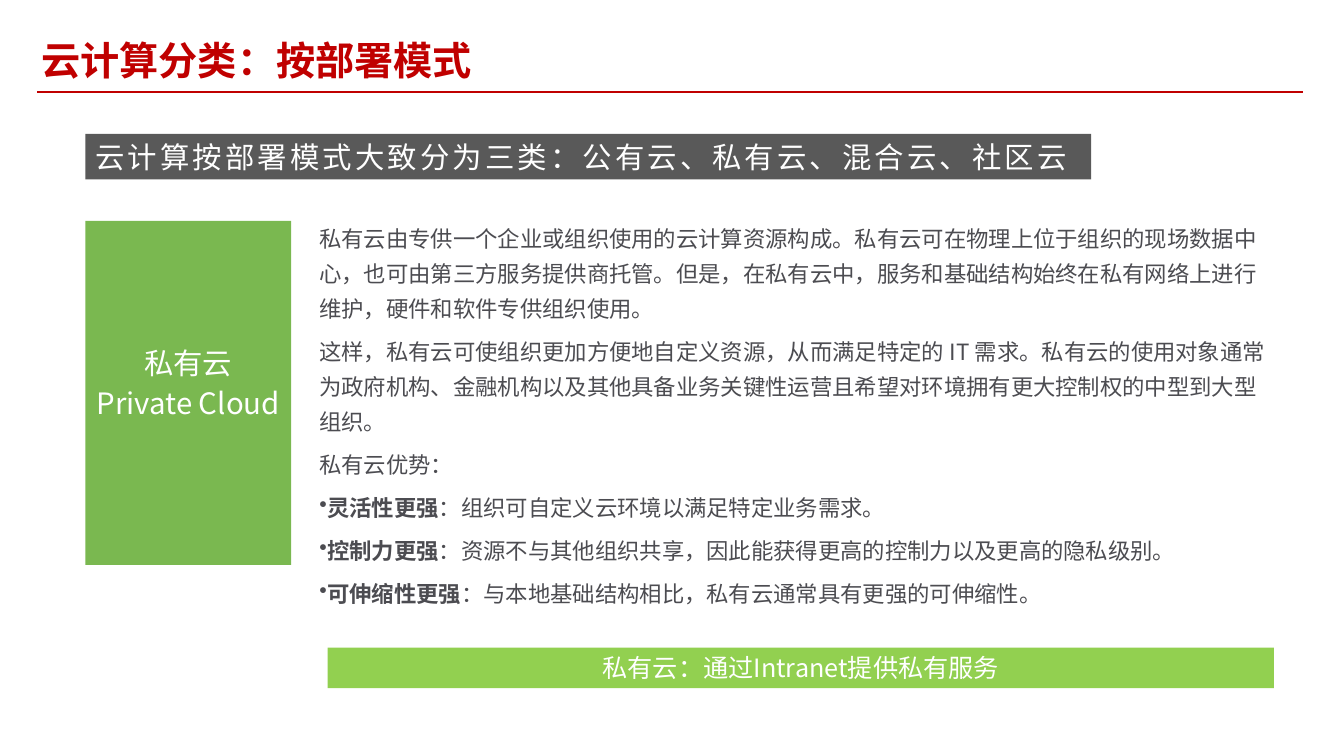
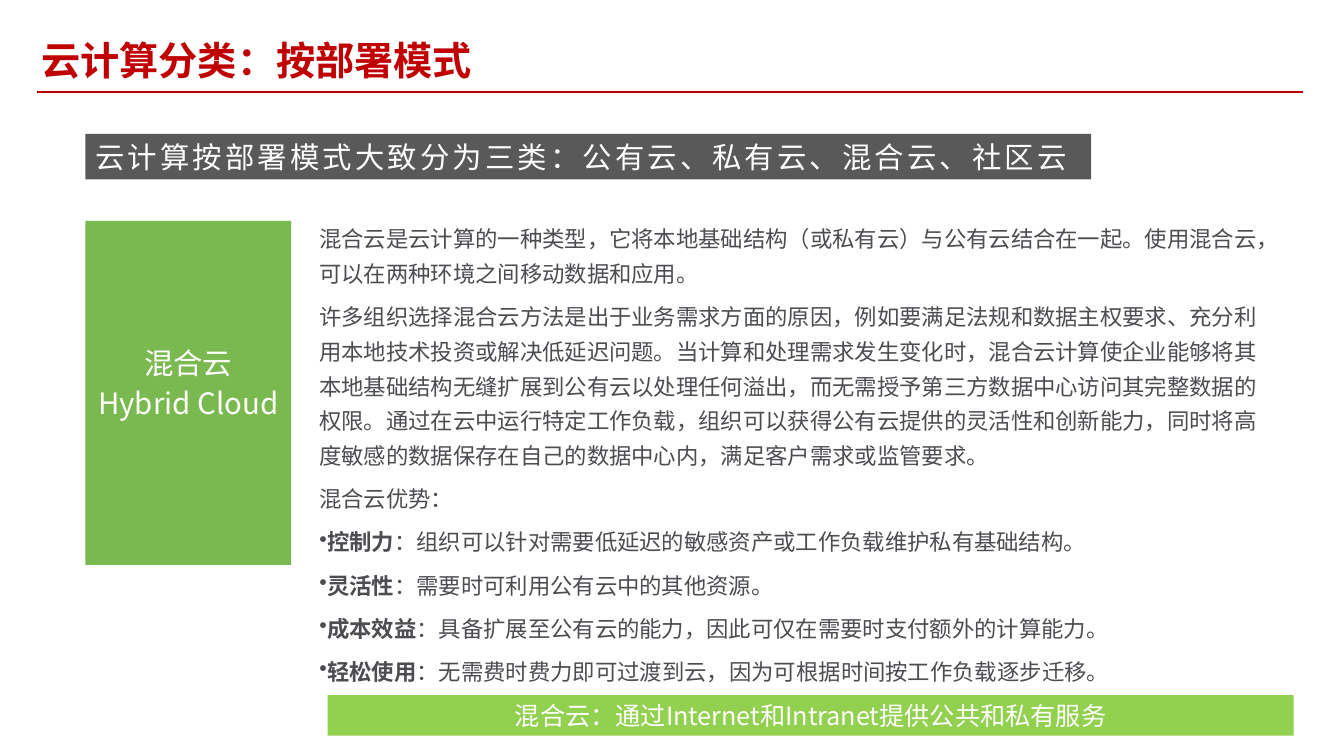
from lxml.etree import SubElement
from pptx import Presentation
from pptx.dml.color import RGBColor
from pptx.enum.shapes import MSO_CONNECTOR, MSO_SHAPE
from pptx.enum.text import MSO_ANCHOR, PP_ALIGN
from pptx.oxml.ns import qn
from pptx.util import Pt

FONT = "Noto Sans CJK SC"
COLORS = {
    "red": "C00000",
    "white": "FFFFFF",
    "gray": "595959",
    "ink": "4C4C51",
    "green": "7AB850",
    "lime": "92D050",
}
TITLE = "云计算分类：按部署模式"
HEAD = "云计算按部署模式大致分为三类：公有云、私有云、混合云、社区云"

TOPICS = [
    {
        "label": ["私有云", "Private Cloud"],
        "body": [
            "私有云由专供一个企业或组织使用的云计算资源构成。私有云可在物理上位于组织的现场数据中心，也可由第三方服务提供商托管。但是，在私有云中，服务和基础结构始终在私有网络上进行维护，硬件和软件专供组织使用。",
            "这样，私有云可使组织更加方便地自定义资源，从而满足特定的 IT 需求。私有云的使用对象通常为政府机构、金融机构以及其他具备业务关键性运营且希望对环境拥有更大控制权的中型到大型组织。",
            "私有云优势：",
        ],
        "gains": [
            ("灵活性更强", "：组织可自定义云环境以满足特定业务需求。"),
            ("控制力更强", "：资源不与其他组织共享，因此能获得更高的控制力以及更高的隐私级别。"),
            ("可伸缩性更强", "：与本地基础结构相比，私有云通常具有更强的可伸缩性。"),
        ],
        "text_box": (221, 152, 695.5, 287),
        "note": "私有云：通过Intranet提供私有服务",
        "note_box": (234, 462.5, 676, 29),
    },
    {
        "label": ["混合云", "Hybrid Cloud"],
        "body": [
            "混合云是云计算的一种类型，它将本地基础结构（或私有云）与公有云结合在一起。使用混合云，可以在两种环境之间移动数据和应用。",
            "许多组织选择混合云方法是出于业务需求方面的原因，例如要满足法规和数据主权要求、充分利用本地技术投资或解决低延迟问题。当计算和处理需求发生变化时，混合云计算使企业能够将其本地基础结构无缝扩展到公有云以处理任何溢出，而无需授予第三方数据中心访问其完整数据的权限。通过在云中运行特定工作负载，组织可以获得公有云提供的灵活性和创新能力，同时将高度敏感的数据保存在自己的数据中心内，满足客户需求或监管要求。",
            "混合云优势：",
        ],
        "gains": [
            ("控制力", "：组织可以针对需要低延迟的敏感资产或工作负载维护私有基础结构。"),
            ("灵活性", "：需要时可利用公有云中的其他资源。"),
            ("成本效益", "：具备扩展至公有云的能力，因此可仅在需要时支付额外的计算能力。"),
            ("轻松使用", "：无需费时费力即可过渡到云，因为可根据时间按工作负载逐步迁移。"),
        ],
        "text_box": (221, 152, 695.5, 343.5),
        "note": "混合云：通过Internet和Intranet提供公共和私有服务",
        "note_box": (234, 496.5, 690, 29),
    },
]


def color(name):
    return RGBColor.from_string(COLORS[name])


def add_run(para, text, size, ink, bold=False, gap=0):
    """Add a run; gap is the extra space between letters in points."""
    run = para.add_run()
    run.text = text
    font = run.font
    font.name, font.size, font.bold = FONT, Pt(size), bold
    font.color.rgb = color(ink)
    props = run._r.get_or_add_rPr()
    SubElement(props, qn("a:ea")).set("typeface", FONT)
    if gap:
        props.set("spc", str(round(gap * 100)))


def add_para(frame, index):
    return frame.add_paragraph() if index else frame.paragraphs[0]


def add_bar(slide, box, fill):
    bar = slide.shapes.add_shape(MSO_SHAPE.RECTANGLE, *map(Pt, box))
    bar.shadow.inherit = False
    bar.fill.solid()
    bar.fill.fore_color.rgb = color(fill)
    bar.line.fill.background()
    return bar


def add_band(slide, box, fill, text, size, ink, align=PP_ALIGN.LEFT, **style):
    """Add a filled bar with one line of text in its middle."""
    frame = add_bar(slide, box, fill).text_frame
    frame.word_wrap = True
    frame.vertical_anchor = MSO_ANCHOR.MIDDLE
    para = frame.paragraphs[0]
    para.alignment = align
    add_run(para, text, size, ink, **style)


def add_title(slide, box):
    left, top, width, height = box
    rule = slide.shapes.add_connector(
        MSO_CONNECTOR.STRAIGHT,
        Pt(left + 4), Pt(top + 43.5), Pt(left + 908.5), Pt(top + 43.5))
    rule.line.color.rgb = color("red")
    rule.line.width = Pt(1.5)
    SubElement(rule._element.spPr, qn("a:effectLst"))
    add_band(slide, box, "white", TITLE, 28, "red", bold=True)


def add_label(slide, box, lines):
    left, top, width, height = box
    add_bar(slide, box, "green")
    text = slide.shapes.add_textbox(
        Pt(left), Pt(top + 82.3), Pt(width), Pt(63.5))
    frame = text.text_frame
    frame.word_wrap = False
    for index, line in enumerate(lines):
        para = add_para(frame, index)
        para.alignment = PP_ALIGN.CENTER
        para.line_spacing = Pt(28.5)
        add_run(para, line, 21, "white")


def add_bullet(para):
    props = para._p.get_or_add_pPr()
    props.set("marL", "0")
    props.set("indent", "0")
    SubElement(props, qn("a:buChar")).set("char", "•")


def add_body(slide, box, body, gains):
    """Add plain paragraphs, then bullets that open with a bold term."""
    frame = slide.shapes.add_textbox(*map(Pt, box)).text_frame
    frame.word_wrap = True
    for index, parts in enumerate([("", text) for text in body] + gains):
        term, text = parts
        para = add_para(frame, index)
        para.line_spacing = Pt(24.8)
        if index:
            para.space_before = Pt(6)
        if term:
            add_bullet(para)
            add_run(para, term, 16, "ink", bold=True)
        add_run(para, text, 16, "ink")


def add_topic(deck, topic):
    slide = deck.slides.add_slide(deck.slide_layouts[6])
    add_title(slide, (22.5, 22.5, 717, 41))
    add_label(slide, (61, 157.7, 147, 245.8), topic["label"])
    add_body(slide, topic["text_box"], topic["body"], topic["gains"])
    add_band(slide, (61, 95.6, 718.5, 32.6), "gray", HEAD, 21, "white", gap=2.2)
    add_band(slide, topic["note_box"], "lime", topic["note"], 18, "white",
             PP_ALIGN.CENTER)


def main():
    deck = Presentation()
    deck.slide_width, deck.slide_height = Pt(960), Pt(540)
    for topic in TOPICS:
        add_topic(deck, topic)
    deck.save("out.pptx")


if __name__ == "__main__":
    main()
